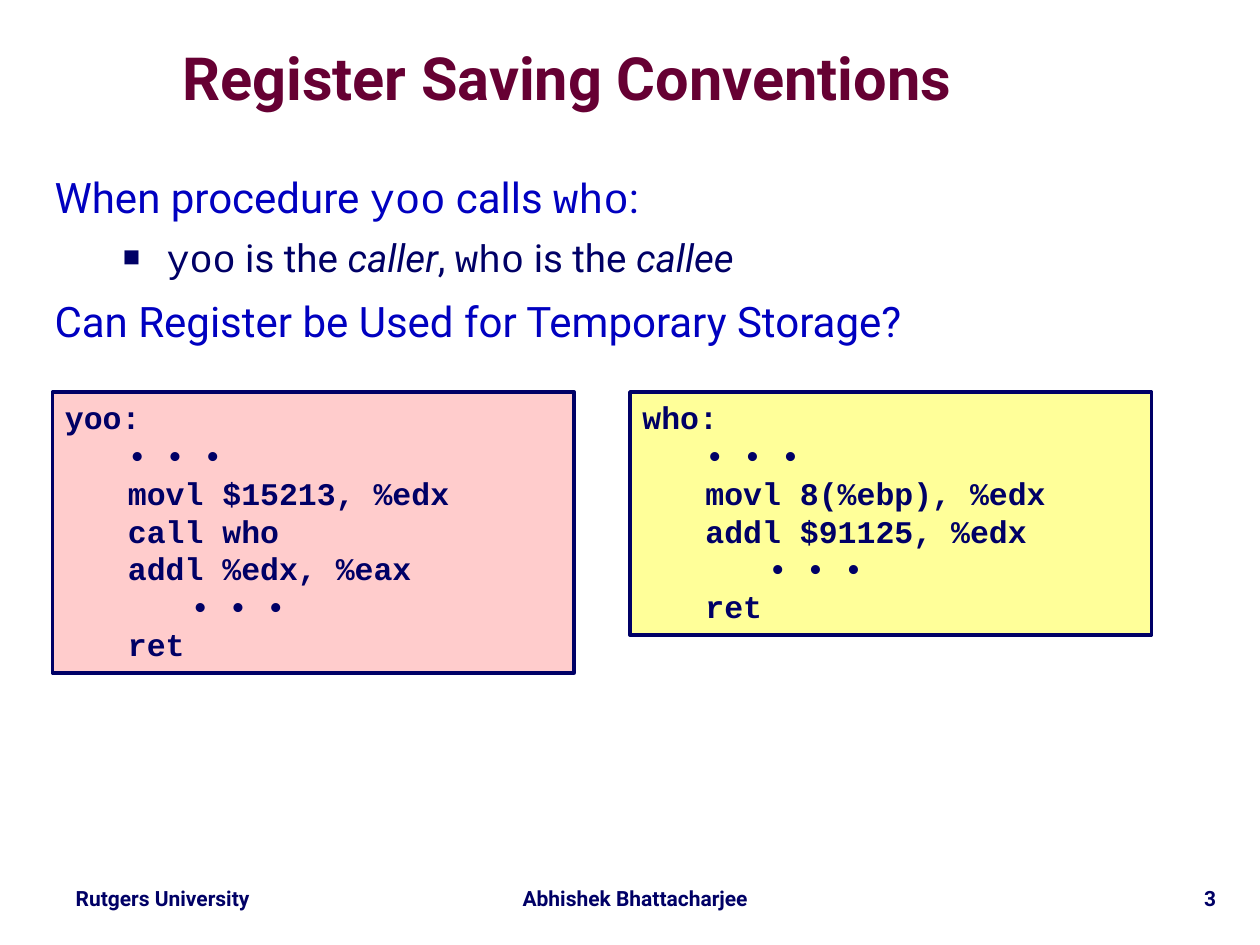
from dataclasses import dataclass

import lxml.etree
import pptx
import pptx.dml.color
import pptx.enum.shapes
import pptx.enum.text
import pptx.oxml.ns
import pptx.util

Pt = pptx.util.Pt
ALIGN = pptx.enum.text.PP_ALIGN
ANCHOR = pptx.enum.text.MSO_ANCHOR
FIT = pptx.enum.text.MSO_AUTO_SIZE


@dataclass(frozen=True)
class Theme:
    sans: str = "Roboto"
    mono: str = "Courier New"
    navy: str = "000066"
    blue: str = "0000C0"
    maroon: str = "660033"
    pink: str = "FFCCCC"
    yellow: str = "FFFF99"
    title_size: int = 34
    heading_size: int = 24
    bullet_size: int = 22
    code_size: int = 18
    footer_size: int = 12


def rgb(color):
    return pptx.dml.color.RGBColor.from_string(color)


class SlideBuilder:
    def __init__(self, slide, theme):
        self.slide = slide
        self.theme = theme

    def place(self, shape, left, top, width, height):
        shape.left, shape.top = Pt(left), Pt(top)
        shape.width, shape.height = Pt(width), Pt(height)

    def add_run(self, paragraph, text, size, color, font=None, bold=False, italic=False):
        run = paragraph.add_run()
        run.text = text
        run.font.name = font or self.theme.sans
        run.font.size = Pt(size)
        run.font.bold = bold
        run.font.italic = italic
        run.font.color.rgb = rgb(color)

    def set_indent(self, paragraph, margin, first_line=0):
        properties = paragraph._p.get_or_add_pPr()
        properties.set("marL", str(Pt(margin)))
        properties.set("indent", str(Pt(first_line)))
        return properties

    def add_property(self, parent, tag, **attributes):
        return lxml.etree.SubElement(parent, pptx.oxml.ns.qn(tag), attributes)

    def paragraphs(self, frame, items):
        for index, item in enumerate(items):
            yield (frame.add_paragraph() if index else frame.paragraphs[0]), item

    def title(self, text, *bounds):
        title = self.slide.shapes.title
        self.place(title, *bounds)
        frame = title.text_frame
        frame.margin_left = frame.margin_right = frame.margin_top = frame.margin_bottom = 0
        frame.vertical_anchor = ANCHOR.MIDDLE
        frame.auto_size = FIT.NONE
        paragraph = frame.paragraphs[0]
        paragraph.alignment = ALIGN.CENTER
        paragraph.line_spacing = 0.87
        self.add_run(paragraph, text, self.theme.title_size, self.theme.maroon, bold=True)

    def body(self, items, *bounds):
        body = self.slide.placeholders[1]
        self.place(body, *bounds)
        frame = body.text_frame
        frame.auto_size = FIT.NONE
        for paragraph, (level, space_before, parts) in self.paragraphs(frame, items):
            paragraph.level = level
            if level:
                properties = self.set_indent(paragraph, 58.5, -19.5)
                self.add_property(properties, "a:buSzPct", val="75000")
                self.add_property(properties, "a:buChar", char="■")
                size, color = self.theme.bullet_size, self.theme.navy
            else:
                properties = self.set_indent(paragraph, 0)
                self.add_property(properties, "a:buNone")
                size, color = self.theme.heading_size, self.theme.blue
                paragraph.line_spacing = 0.95
            paragraph.space_before = Pt(space_before)
            for text, style in parts:
                self.add_run(paragraph, text, size, color, **style)

    def code_box(self, fill, lines, *bounds):
        box = self.slide.shapes.add_shape(
            pptx.enum.shapes.MSO_SHAPE.RECTANGLE, *map(Pt, bounds))
        box.shadow.inherit = False
        box.fill.solid()
        box.fill.fore_color.rgb = rgb(fill)
        box.line.color.rgb = rgb(self.theme.navy)
        box.line.width = Pt(2)
        frame = box.text_frame
        frame.word_wrap = True
        frame.vertical_anchor = ANCHOR.TOP
        frame.auto_size = FIT.SHAPE_TO_FIT_TEXT
        for paragraph, (level, text) in self.paragraphs(frame, lines):
            paragraph.level = level
            paragraph.alignment = ALIGN.LEFT
            properties = self.set_indent(paragraph, 36 * level)
            tabs = self.add_property(properties, "a:tabLst")
            self.add_property(tabs, "a:tab", pos=str(Pt(36)), algn="l")
            self.add_run(paragraph, text, self.theme.code_size, self.theme.navy,
                         font=self.theme.mono, bold=True)

    def footer(self, text, alignment, *bounds):
        box = self.slide.shapes.add_textbox(*map(Pt, bounds))
        frame = box.text_frame
        frame.word_wrap = True
        paragraph = frame.paragraphs[0]
        paragraph.alignment = alignment
        paragraph.line_spacing = 0.9
        self.add_run(paragraph, text, self.theme.footer_size, self.theme.navy, bold=True)


def main():
    theme = Theme()
    presentation = pptx.Presentation()
    presentation.slide_width, presentation.slide_height = Pt(720), Pt(540)
    slide = presentation.slides.add_slide(presentation.slide_layouts[1])
    builder = SlideBuilder(slide, theme)

    builder.footer("Rutgers University", ALIGN.CENTER, 24, 504, 138, 20)
    builder.footer("Abhishek Bhattacharjee", ALIGN.CENTER, 282, 504, 162, 20)
    builder.footer("3", ALIGN.RIGHT, 588, 504, 114, 21.6)

    builder.title("Register Saving Conventions", 30, 24, 588, 45)

    plain, code, emphasis = {}, {"font": theme.mono}, {"italic": True}
    builder.body([
        (0, 0, [("When procedure ", plain), ("yoo", code), (" calls ", plain),
                ("who", code), (":", plain)]),
        (1, 6, [(" ", plain), ("yoo", code), (" is the ", plain), ("caller", emphasis),
                (", ", plain), ("who", code), (" is the ", plain), ("callee", emphasis)]),
        (0, 11, [("Can Register be Used for Temporary Storage?", plain)]),
    ], 24, 96.5, 652, 411)

    ellipsis = "\t• • •"
    caller = [(0, "yoo:"), (0, ellipsis), (1, "movl $15213, %edx"), (1, "call who"),
              (1, "addl %edx, %eax"), (1, ellipsis), (1, "ret")]
    callee = [(0, "who:"), (0, ellipsis), (1, "movl 8(%ebp), %edx"),
              (1, "addl $91125, %edx"), (1, ellipsis), (1, "ret")]
    builder.code_box(theme.pink, caller, 30, 224, 298, 160.6)
    builder.code_box(theme.yellow, callee, 360, 224, 298, 139)

    presentation.save("out.pptx")


if __name__ == "__main__":
    main()
